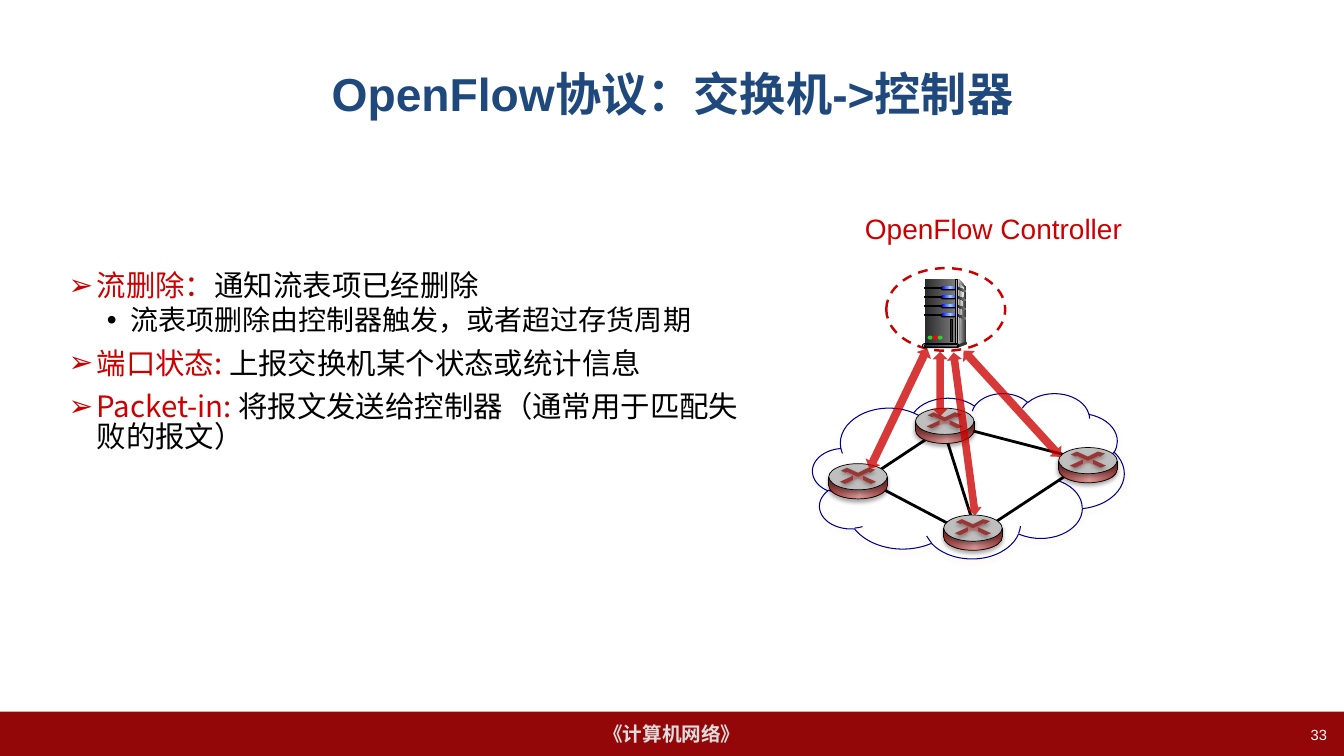
from lxml import etree
from pptx import Presentation
from pptx.dml.color import RGBColor
from pptx.enum.dml import MSO_LINE
from pptx.enum.shapes import MSO_CONNECTOR, MSO_SHAPE
from pptx.enum.text import MSO_ANCHOR, MSO_AUTO_SIZE, PP_ALIGN
from pptx.oxml.ns import qn
from pptx.util import Pt

PX = 9144  # EMU per px, 100 px to the inch
RECT, ELLIPSE = MSO_SHAPE.RECTANGLE, MSO_SHAPE.OVAL
PILL, CLOUD, ARROW = MSO_SHAPE.ROUNDED_RECTANGLE, MSO_SHAPE.CLOUD, MSO_SHAPE.UP_DOWN_ARROW
STRAIGHT, DASH = MSO_CONNECTOR.STRAIGHT, MSO_LINE.DASH
LEFT, CENTER, RIGHT = PP_ALIGN.LEFT, PP_ALIGN.CENTER, PP_ALIGN.RIGHT
TOP, MIDDLE = MSO_ANCHOR.TOP, MSO_ANCHOR.MIDDLE
NO_AUTOFIT = MSO_AUTO_SIZE.NONE

BLACK = RGBColor(0x00, 0x00, 0x00)
WHITE = RGBColor(0xFF, 0xFF, 0xFF)
RED = RGBColor(0xCC, 0x00, 0x00)
BAR_RED = RGBColor(0x94, 0x07, 0x09)
TITLE_BLUE = RGBColor(0x1F, 0x49, 0x7D)
CLOUD_BLUE = RGBColor(0x00, 0x00, 0x90)
PEACH = RGBColor(0xFC, 0xD5, 0xB5)
MAROON = RGBColor(0x95, 0x37, 0x35)
ROSE = RGBColor(0xD9, 0x96, 0x94)
SILVER = RGBColor(0xBF, 0xBF, 0xBF)
LIGHT = RGBColor(0xDD, 0xDD, 0xDD)
PALE = RGBColor(0xF8, 0xF8, 0xF8)
CREAM = RGBColor(0xEE, 0xEC, 0xE1)
GREY = RGBColor(0x80, 0x80, 0x80)
DARK = RGBColor(0x33, 0x33, 0x33)
COAL = RGBColor(0x29, 0x29, 0x29)
LED_GREEN = RGBColor(0x33, 0xCC, 0x33)
LED_RED = RGBColor(0xFF, 0x00, 0x00)
SLOT_BLUE = RGBColor(0x00, 0x00, 0xFF)
SLOT_SKY = RGBColor(0x99, 0xCC, 0xFF)

METAL = [(0, COAL), (100, GREY)]
ROUTER_SIDE = [(0, MAROON), (53, ROSE), (100, MAROON)]
SLOT_GLOW = [(0, SLOT_BLUE), (50, SLOT_SKY), (100, SLOT_BLUE)]

# Text of each list item: level, lead in red, rest in black
ITEMS = [
    (0, "流删除：", "通知流表项已经删除"),
    (1, "", "流表项删除由控制器触发，或者超过存货周期"),
    (0, "端口状态: ", "上报交换机某个状态或统计信息"),
    (0, "Packet-in: ", "将报文发送给控制器（通常用于匹配失败的报文）"),
]
# Per level: bullet, left margin, hanging indent, size, space before
LEVELS = [("➢", 28, 28, 21, 10), ("•", 61, 23, 20, 4)]

ROUTERS = [(936, 511), (1050, 444), (822, 460), (908, 405)]
LINKS = [(858, 476, 953, 413), (858, 476, 953, 526), (938, 433, 963, 512),
         (959, 426, 1063, 453), (975, 526, 1063, 468)]
ARROWS = [(949, 349, 15, 163, 352.4), (925, 349, 15, 64, 0),
          (996, 329, 16, 143, 317.6), (883, 339, 16, 133, 25.6)]

# Outlines on top of a router, measured from its top left corner
ROUTER_CROSS = [(29, 15), (18, 20), (15, 19), (24, 16), (23, 12), (17, 9), (19, 8),
                (29, 12), (39, 8), (42, 9), (34, 12), (36, 16), (43, 19), (41, 20)]
ROUTER_MARKS = [
    [(12, 7), (18, 4), (29, 9), (39, 4), (46, 6), (41, 9), (40, 8), (29, 13), (18, 8), (17, 9)],
    [(34, 12), (47, 18), (42, 20), (34, 16)],
    [(24, 12), (24, 16), (16, 20), (11, 18)],
]


def px(*lengths):
    return [length * PX for length in lengths]


def add_shadow(shape, color, alpha=35):
    """Soft shadow below a shape that already has an effect list."""
    effects = shape._element.spPr.find(qn("a:effectLst"))
    outer = etree.SubElement(effects, qn("a:outerShdw"), blurRad=str(Pt(3.1)),
                             dist=str(Pt(1.8)), dir="5400000", rotWithShape="0")
    tone = etree.SubElement(outer, qn("a:srgbClr"), val=str(color))
    etree.SubElement(tone, qn("a:alpha"), val=str(alpha * 1000))


def paint(shape, fill=None, line=None, width=0.75, shadow=None):
    """Fill is None, one colour, or a list of (percent, colour) stops."""
    shape.shadow.inherit = False
    if fill is None:
        shape.fill.background()
    elif isinstance(fill, list):
        shape.fill.gradient()
        shape.fill.gradient_angle = 0
        stops = shape._element.spPr.find(".//" + qn("a:gsLst"))
        stops.clear()
        for percent, color in fill:
            stop = etree.SubElement(stops, qn("a:gs"), pos=str(percent * 1000))
            etree.SubElement(stop, qn("a:srgbClr"), val=str(color))
    else:
        shape.fill.solid()
        shape.fill.fore_color.rgb = fill
    if line is None:
        shape.line.fill.background()
    else:
        shape.line.color.rgb = line
        shape.line.width = Pt(width)
    if shadow is not None:
        add_shadow(shape, shadow)


def add_preset(shapes, kind, box, *style, **options):
    shape = shapes.add_shape(kind, *px(*box))
    if kind == PILL:
        shape.adjustments[0] = 0.5
    paint(shape, *style, **options)
    return shape


def add_outline(shapes, points, *style, **options):
    builder = shapes.build_freeform(*points[0], scale=PX)
    builder.add_line_segments(points[1:], close=True)
    paint(builder.convert_to_shape(), *style, **options)


def add_line(shapes, ends, width):
    line = shapes.add_connector(STRAIGHT, *px(*ends))
    line.line.color.rgb = BLACK
    line.line.width = Pt(width)
    etree.SubElement(line._element.spPr, qn("a:effectLst"))
    return line


def place(shape, box):
    shape.left, shape.top, shape.width, shape.height = px(*box)


def write(shape, text, size, color, align=LEFT, anchor=TOP, bold=False, wrap=True):
    frame = shape.text_frame
    frame.auto_size = NO_AUTOFIT
    frame.word_wrap = wrap
    frame.vertical_anchor = anchor
    paragraph = frame.paragraphs[0]
    paragraph.text = text
    paragraph.alignment = align
    font = paragraph.font
    font.name, font.size, font.bold, font.color.rgb = "Arial", Pt(size), bold, color


def add_item(paragraph, is_first, level, lead, rest):
    bullet, margin, hanging, size, space = LEVELS[level]
    paragraph.level = level
    paragraph.alignment = LEFT
    paragraph.line_spacing = 0.84
    paragraph.space_before = Pt(0 if is_first else space)
    properties = paragraph._p.get_or_add_pPr()
    properties.set("marL", str(margin * PX))
    properties.set("indent", str(-hanging * PX))
    bullet_color = etree.SubElement(properties, qn("a:buClr"))
    etree.SubElement(bullet_color, qn("a:srgbClr"), val=str(RED if lead else BLACK))
    etree.SubElement(properties, qn("a:buFont"), typeface="Arial")
    etree.SubElement(properties, qn("a:buChar"), char=bullet)
    paragraph.font.name = "Noto Sans CJK SC"
    paragraph.font.size = Pt(size)
    for text, color in ((lead, RED), (rest, BLACK)):
        if text:
            run = paragraph.add_run()
            run.text = text
            run.font.color.rgb = color


def add_server(shapes):
    # Case
    add_outline(shapes, [(951, 277), (958, 285), (958, 339), (949, 342)], [(0, LIGHT), (100, DARK)])
    add_preset(shapes, RECT, (917, 277, 32, 65), METAL)
    add_outline(shapes, [(951, 281), (956, 286), (953, 315), (951, 340)], [(0, GREY), (100, PALE)])
    # Drive slots with their side vents
    for y in range(285, 313, 9):
        add_preset(shapes, RECT, (917, y, 18, 1), BLACK, BLACK)
        add_preset(shapes, PILL, (933, y - 1, 18, 4), BLACK)
        add_preset(shapes, PILL, (934, y - 1, 17, 3), SLOT_GLOW)
        add_outline(shapes, [(950, y), (958, y + 3), (958, y + 5), (950, y + 2)], METAL)
    # Front edge and foot
    add_preset(shapes, RECT, (948, 277, 2, 65), [(0, DARK), (50, LIGHT), (100, DARK)], BLACK)
    add_preset(shapes, ELLIPSE, (957, 339, 2, 3), DARK)
    add_outline(shapes, [(950, 342), (950, 345), (958, 342), (957, 339)], DARK)
    add_preset(shapes, PILL, (915, 341, 36, 4), LIGHT, BLACK)
    add_preset(shapes, PILL, (917, 342, 33, 2), [(0, TITLE_BLUE), (100, CREAM)], BLACK)
    # Status lights and handle
    for index, color in enumerate((LED_GREEN, LED_RED, LED_GREEN)):
        add_preset(shapes, ELLIPSE, (920 + 5 * index, 333, 5, 4), color)
    add_preset(shapes, RECT, (943, 317, 2, 22), COAL, BLACK)


def add_router(shapes, x, y):
    def shifted(points):
        return [(x + dx, y + dy) for dx, dy in points]

    add_preset(shapes, ELLIPSE, (x, y + 9, 58, 26), ROUTER_SIDE, BLACK, 0.5, BLACK)
    add_preset(shapes, RECT, (x, y + 13, 58, 9), ROUTER_SIDE)
    add_preset(shapes, ELLIPSE, (x, y, 58, 26), SILVER, BLACK, 0.5, BLACK)
    add_outline(shapes, shifted(ROUTER_CROSS), ROSE)
    for mark in ROUTER_MARKS:
        add_outline(shapes, shifted(mark), MAROON, shadow=BLACK)
    for side in (x, x + 58):
        add_shadow(add_line(shapes, (side, y + 22, side, y + 13), 0.5), BLACK, 38)


def add_message_arrow(shapes, left, top, width, height, rotation):
    arrow = add_preset(shapes, ARROW, (left, top, width, height), RED)
    arrow.rotation = rotation
    color = arrow._element.spPr.find(qn("a:solidFill")).find(qn("a:srgbClr"))
    etree.SubElement(color, qn("a:alpha"), val="78000")


def main():
    presentation = Presentation()
    presentation.slide_width, presentation.slide_height = px(1333, 750)
    slide = presentation.slides.add_slide(presentation.slide_layouts[1])
    shapes = slide.shapes

    # Title, footer bar and page number
    place(shapes.title, (67, 30, 1200, 125))
    write(shapes.title, "OpenFlow协议：交换机->控制器", 33, TITLE_BLUE, CENTER, MIDDLE, True)
    bar = add_preset(shapes, RECT, (0, 706, 1333, 44), BAR_RED)
    write(bar, "《计算机网络》", 14, LIGHT, CENTER, MIDDLE, True, wrap=False)
    number = shapes.add_textbox(*px(1015, 715, 311, 35))
    write(number, "33", 10.5, WHITE, RIGHT)

    # Message list
    body = slide.placeholders[1]
    place(body, (58, 266, 712, 410))
    frame = body.text_frame
    frame.auto_size = NO_AUTOFIT
    for index, item in enumerate(ITEMS):
        paragraph = frame.add_paragraph() if index else frame.paragraphs[0]
        add_item(paragraph, index == 0, *item)

    # Network cloud and links
    halo = add_preset(shapes, ELLIPSE, (879, 266, 118, 82), None, RED, 1.75)
    halo.line.dash_style = DASH
    add_preset(shapes, CLOUD, (806, 390, 309, 164), None, CLOUD_BLUE, shadow=PEACH)
    for link in LINKS:
        add_line(shapes, link, 2)

    # Controller, routers and the messages between them
    add_server(shapes.add_group_shape().shapes)
    label = shapes.add_textbox(*px(848, 205, 278, 44))
    write(label, "OpenFlow Controller", 20, RED, wrap=False)
    for corner in ROUTERS:
        add_router(shapes.add_group_shape().shapes, *corner)
    for arrow in ARROWS:
        add_message_arrow(shapes, *arrow)

    presentation.save("out.pptx")


if __name__ == "__main__":
    main()
